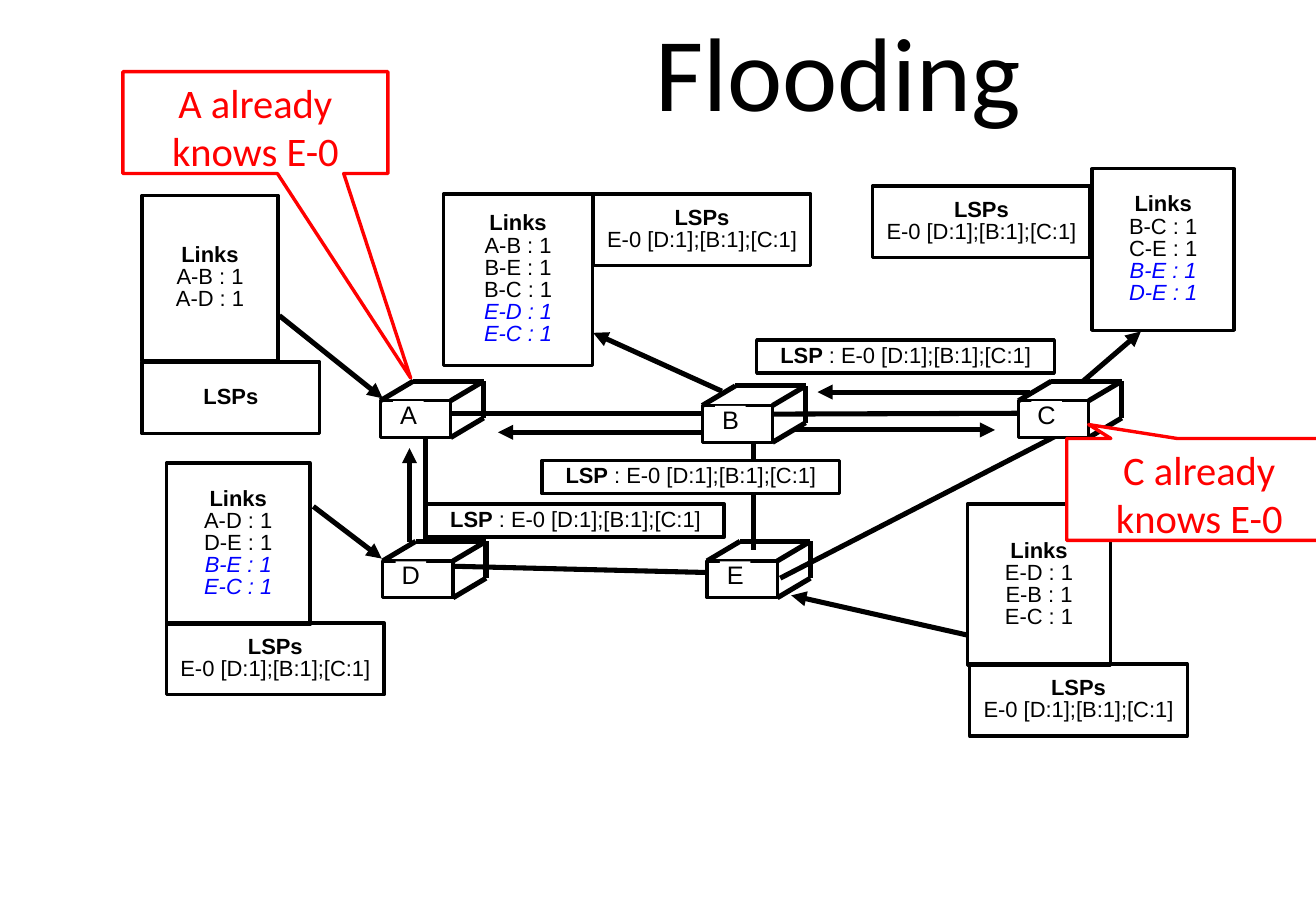
from typing import NamedTuple

from lxml.etree import SubElement
from pptx import Presentation
from pptx.dml.color import RGBColor
from pptx.enum.shapes import MSO_CONNECTOR as Link, MSO_SHAPE as Kind
from pptx.enum.text import MSO_ANCHOR as Anchor, PP_ALIGN as Align
from pptx.oxml.ns import qn
from pptx.util import Cm, Pt

BLACK, WHITE, RED, BLUE = "000000", "FFFFFF", "FF0000", "0000FF"
ROUTE = "E-0 [D:1];[B:1];[C:1]"


class Run(NamedTuple):
    text: str
    bold: bool = False
    new: bool = False


class Box(NamedTuple):
    x: float
    y: float
    w: float
    h: float
    paras: list[list[Run]]
    fill: str | None = None


class Wire(NamedTuple):
    x1: float
    y1: float
    x2: float
    y2: float


class Node(NamedTuple):
    name: str
    x: float
    y: float


class Call(NamedTuple):
    text: str
    x: float
    y: float
    tip: tuple[float, float]
    fill: str | None = None


def tint(code: str) -> RGBColor:
    return RGBColor.from_string(code)


def write(shape, paras: list[list[Run]], *, size: float = 13, font: str = "Arial",
          color: str = BLACK, space: float | None = 0.84, pad: float = 0,
          side: float = 0, anchor=Anchor.MIDDLE) -> None:
    frame = shape.text_frame
    frame.word_wrap = True
    frame.vertical_anchor = anchor
    frame.margin_top = frame.margin_bottom = Cm(pad)
    frame.margin_left = frame.margin_right = Cm(side)
    for i, runs in enumerate(paras):
        para = frame.add_paragraph() if i else frame.paragraphs[0]
        para.alignment = Align.CENTER
        if space:
            para.line_spacing = space
        for item in runs:
            run = para.add_run()
            run.text = item.text
            run.font.name = font
            run.font.size = Pt(size)
            run.font.bold = item.bold
            run.font.italic = item.new
            run.font.color.rgb = tint(BLUE if item.new else color)


def block(shapes, kind, x: float, y: float, w: float, h: float,
          fill: str | None = None, line: str | None = BLACK):
    shape = shapes.add_shape(kind, Cm(x), Cm(y), Cm(w), Cm(h))
    shape.shadow.inherit = False
    if fill:
        shape.fill.solid()
        shape.fill.fore_color.rgb = tint(fill)
    else:
        shape.fill.background()
    if line:
        shape.line.color.rgb = tint(line)
        shape.line.width = Pt(2)
    else:
        shape.line.fill.background()
    return shape


def draw_wire(shapes, wire: Wire, head: bool = False) -> None:
    line = shapes.add_connector(Link.STRAIGHT, *(Cm(v) for v in wire))
    line.line.color.rgb = tint(BLACK)
    line.line.width = Pt(3)
    props = line._element.spPr
    if head:
        SubElement(props.find(qn("a:ln")), qn("a:tailEnd"), type="triangle")
    SubElement(props, qn("a:effectLst"))


def draw_node(shapes, node: Node) -> None:
    wide, high, dx, dy = 1.47, 0.77, 0.69, -0.41
    x, y = node.x, node.y
    block(shapes, Kind.RECTANGLE, x, y, wide, high, WHITE)
    left, right, low = (x, y), (x + wide, y), (x + wide, y + high)
    rear = [(px + dx, py + dy) for px, py in (left, right, low)]
    edges = [*zip((left, right, low), rear), *zip(rear, rear[1:])]
    for start, end in edges:
        draw_wire(shapes, Wire(*start, *end))
    tag = block(shapes, Kind.RECTANGLE, x + 0.27, y + 0.01, 0.64, 0.66, WHITE, None)
    write(tag, [[Run(node.name)]], size=15)


def draw_box(shapes, box: Box) -> None:
    shape = block(shapes, Kind.RECTANGLE, *box[:4], fill=box.fill)
    write(shape, box.paras)


def draw_call(shapes, call: Call) -> None:
    shape = block(shapes, Kind.RECTANGULAR_CALLOUT, call.x, call.y, 5.54, 2.13,
                  call.fill, RED)
    shape.adjustments[0], shape.adjustments[1] = call.tip
    write(shape, [[Run(call.text)]], size=24, font="Calibri", color=RED,
          space=None, pad=0.13, side=0.25, anchor=Anchor.TOP)


def links(x: float, y: float, w: float, h: float, old: list[str],
          new: list[str]) -> Box:
    rows = [[Run(f"{t} : 1")] for t in old] + [[Run(f"{t} : 1", new=True)] for t in new]
    return Box(x, y, w, h, [[Run("Links", True)], *rows])


def store(x: float, y: float) -> Box:
    return Box(x, y, 4.55, 1.5, [[Run("LSPs", True)], [Run(ROUTE)]])


def packet(x: float, y: float) -> Box:
    return Box(x, y, 6.22, 0.69, [[Run("LSP", True), Run(f" : {ROUTE}")]], WHITE)


WIRES = [
    Wire(8.89, 9.12, 8.89, 11.33), Wire(9.45, 11.84, 15.52, 11.99),
    Wire(9.32, 8.64, 15.44, 8.64), Wire(15.75, 9.07, 15.75, 11.51),
    Wire(16.31, 12.09, 22.07, 9.12), Wire(16.03, 8.66, 21.79, 8.64),
]
NODES = [
    Node("A", 7.95, 8.38), Node("B", 14.68, 8.48), Node("C", 21.29, 8.38),
    Node("D", 8, 11.73), Node("E", 14.78, 11.73),
]
HEADS = [
    Wire(5.84, 6.6, 8, 8.33), Wire(15.09, 8.18, 12.4, 6.96),
    Wire(22.63, 7.98, 23.85, 6.93), Wire(6.55, 10.59, 7.98, 11.68),
    Wire(20.22, 13.28, 16.54, 12.45), Wire(14.66, 9.04, 10.41, 9.04),
    Wire(16.59, 8.99, 20.8, 8.99), Wire(21.54, 8.2, 17.09, 8.2),
    Wire(8.56, 11.33, 8.56, 9.37),
]
BOXES = [
    links(2.97, 4.09, 2.84, 3.45, ["A-B", "A-D"], []),
    links(9.27, 4.06, 3.12, 3.58, ["A-B", "B-E", "B-C"], ["E-D", "E-C"]),
    links(22.83, 3.53, 2.97, 3.38, ["B-C", "C-E"], ["B-E", "D-E"]),
    links(3.48, 9.68, 3, 3.38, ["A-D", "D-E"], ["B-E", "E-C"]),
    links(20.22, 10.54, 3, 3.38, ["E-D", "E-B", "E-C"], []),
    Box(2.97, 7.57, 3.71, 1.5, [[Run("LSPs", True)]]),
    store(12.4, 4.06), store(18.24, 3.89), store(3.48, 13.03), store(20.27, 13.89),
    packet(11.33, 9.63), packet(15.82, 7.11), packet(8.92, 10.54),
]
CALLS = [
    Call("A already knows E-0", 2.57, 1.5, (0.586, 2.508)),
    Call("C already knows E-0", 22.3, 9.17, (-0.417, -0.637), WHITE),
]


def main() -> None:
    deck = Presentation()
    deck.slide_width, deck.slide_height = Cm(27.51), Cm(19.05)
    slide = deck.slides.add_slide(deck.slide_layouts[5])
    shapes = slide.shapes
    title = shapes.title
    title.left, title.top, title.width, title.height = Cm(9.3), Cm(0), Cm(16.46), Cm(3.35)
    write(title, [[Run("Flooding")]], size=62, font="Calibri", pad=0.1, side=0.1)
    for wire in WIRES:
        draw_wire(shapes, wire)
    for node in NODES:
        draw_node(shapes, node)
    for wire in HEADS:
        draw_wire(shapes, wire, head=True)
    for box in BOXES:
        draw_box(shapes, box)
    for call in CALLS:
        draw_call(shapes, call)
    deck.save("out.pptx")


if __name__ == "__main__":
    main()
